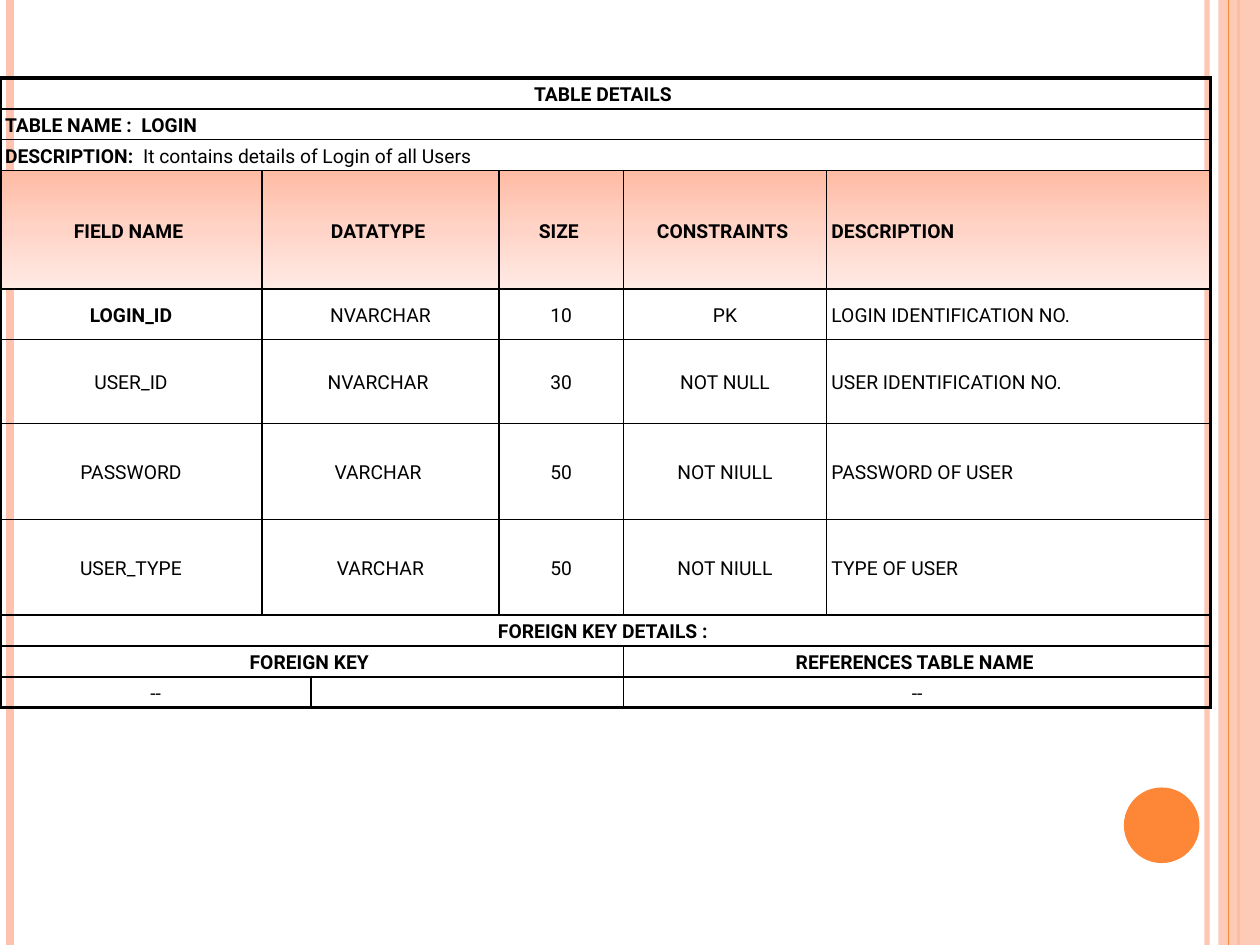
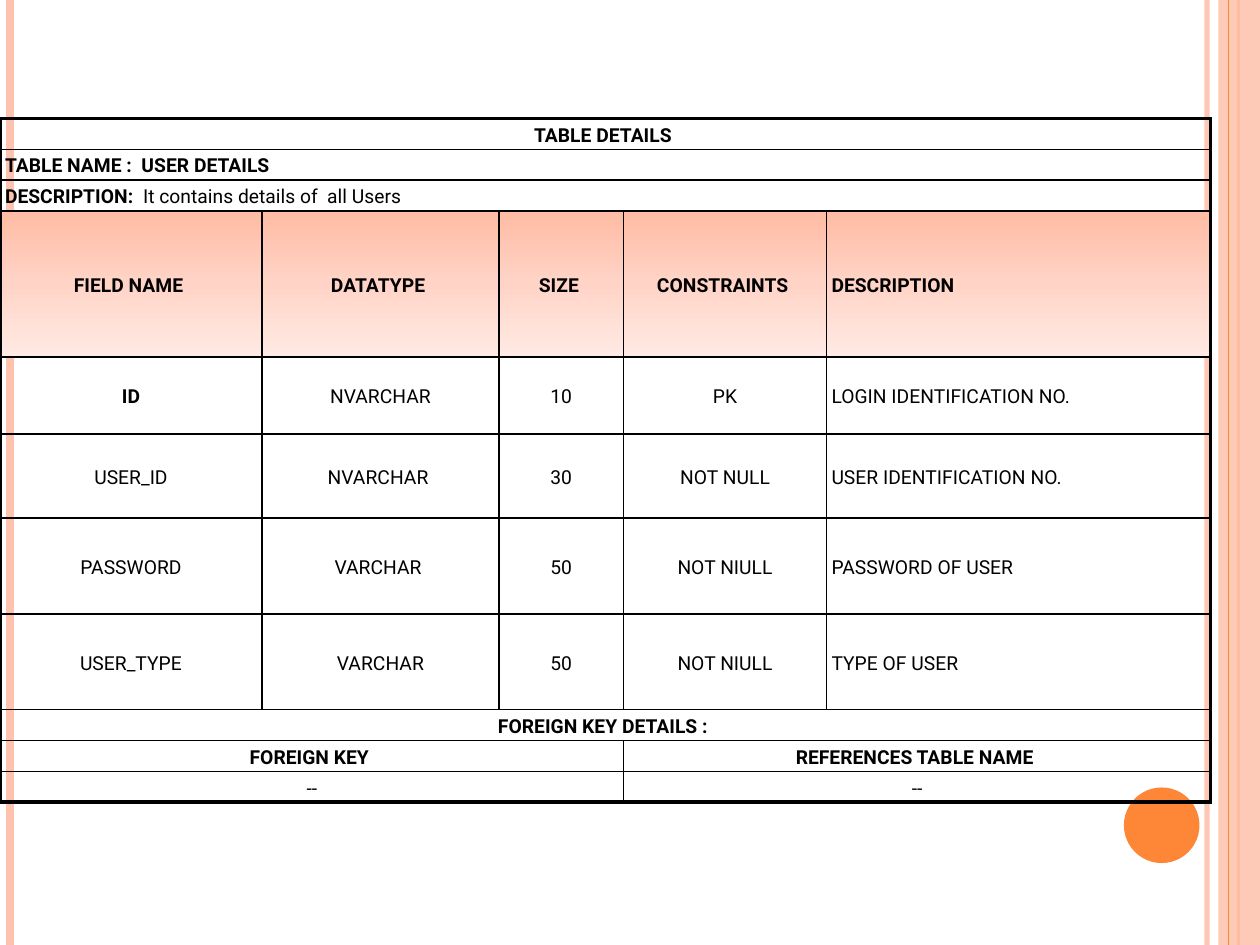
from lxml import etree
from pptx import Presentation
from pptx.dml.color import RGBColor
from pptx.enum.shapes import MSO_CONNECTOR, MSO_SHAPE
from pptx.enum.text import MSO_ANCHOR, PP_ALIGN
from pptx.oxml.ns import qn
from pptx.util import Inches, Pt

LEFT, CENTER = PP_ALIGN.LEFT, PP_ALIGN.CENTER
MIDDLE = MSO_ANCHOR.MIDDLE
STRAIGHT = MSO_CONNECTOR.STRAIGHT
RECT, OVAL = MSO_SHAPE.RECTANGLE, MSO_SHAPE.OVAL

# Content: a cell is (text, columns spanned, bold, alignment)
HEADINGS = ["FIELD NAME ", "DATATYPE ", "SIZE ", "CONSTRAINTS ", "DESCRIPTION"]
COMMON_FIELDS = [
    ["USER_ID", "NVARCHAR ", "30", "NOT NULL", "USER IDENTIFICATION NO."],
    ["PASSWORD", "VARCHAR ", "50", "NOT NIULL", "PASSWORD OF USER"],
    ["USER_TYPE", "VARCHAR", "50", "NOT NIULL", "TYPE OF USER"],
]
TABLES = [
    dict(name="LOGIN", about="It contains details of Login of all Users",
         key="LOGIN_ID", top=0.62, heading_h=0.94, key_h=0.4,
         cols=[2.08, 0.39, 1.49, 0.99, 1.61, 3.05], spans=[1, 2, 1, 1, 1],
         foreign_key=[("--", 2), ("", 2)]),
    dict(name="USER DETAILS", about="It contains details of  all Users",
         key="ID", top=0.94, heading_h=1.16, key_h=0.61,
         cols=[2.08, 1.88, 0.99, 1.61, 3.05], spans=[1, 1, 1, 1, 1],
         foreign_key=[("--", 3)]),
]

# Theme and grid
THEME = dict(font="Roboto", size=11, ink="000000", accent="FE8637", pale="FEC3AE",
             thin=1, thick=2.25, spacing=1.15,
             heading=[(0, "FFBBA3"), (50, "FFD4C7"), (100, "FFEAE4")])
WIDTH, HEIGHT = 10, 7.5
LINE_H = 0.24
FIELD_H = [0.67, 0.76, 0.76]
# x, colour, weight, opacity
RULES = [(9.58, "pale", 3, 93), (0.08, "pale", 4.5, 100), (9.83, "accent", 1.5, 100)]
TOP_RULE = (9.75, "accent", 0.75, 100)


def rgb(value):
    return RGBColor.from_string(value)


def set_opacity(element, percent):
    color = element.find(".//" + qn("a:srgbClr"))
    etree.SubElement(color, qn("a:alpha"), val=str(percent * 1000))


def add_rule(s, x, color, weight, opacity):
    line = s.shapes.add_connector(STRAIGHT, Inches(x), 0, Inches(x), Inches(HEIGHT))
    line.line.color.rgb = rgb(THEME[color])
    line.line.width = Pt(weight)
    props = line._element.spPr
    if opacity < 100:
        set_opacity(props, opacity)
    etree.SubElement(props, qn("a:effectLst"))


def add_block(s, kind, box, color, opacity=100):
    sp = s.shapes.add_shape(kind, *map(Inches, box))
    sp.shadow.inherit = False
    sp.fill.solid()
    sp.fill.fore_color.rgb = rgb(THEME[color])
    sp.line.fill.background()
    if opacity < 100:
        set_opacity(sp._element.spPr, opacity)


def add_frame(s):
    """Side rules, right band and disc shared by every slide."""
    for rule in RULES:
        add_rule(s, *rule)
    add_block(s, RECT, (9.67, 0, 0.33, HEIGHT), "pale", 87)
    add_rule(s, *TOP_RULE)
    add_block(s, OVAL, (8.92, 6.25, 0.6, 0.6), "accent")


def table_rows(spec):
    """Return (height, cells, shaded) for each row."""
    n, spans = len(spec["cols"]), spec["spans"]
    key_span = n - 2

    def field_row(values, bold, key_bold):
        aligns = [CENTER] * 4 + [LEFT]
        bolds = [key_bold] + [bold] * 4
        return list(zip(values, spans, bolds, aligns))

    key_field = [spec["key"], "NVARCHAR", "10", "PK", "LOGIN IDENTIFICATION NO."]
    rows = [
        (LINE_H, [("TABLE DETAILS ", n, True, CENTER)], False),
        (LINE_H, [("TABLE NAME :  " + spec["name"], n, True, LEFT)], False),
        (LINE_H, [(("DESCRIPTION:  ", spec["about"]), n, True, LEFT)], False),
        (spec["heading_h"], field_row(HEADINGS, True, True), True),
        (spec["key_h"], field_row(key_field, False, True), False),
    ]
    rows += [(h, field_row(values, False, False), False)
             for h, values in zip(FIELD_H, COMMON_FIELDS)]
    references = [(text, span, False, CENTER)
                  for text, span in spec["foreign_key"] + [("--", 2)]]
    return rows + [
        (LINE_H, [("FOREIGN KEY DETAILS : ", n, True, CENTER)], False),
        (LINE_H, [("FOREIGN KEY ", key_span, True, CENTER),
                  ("REFERENCES TABLE NAME ", 2, True, CENTER)], False),
        (LINE_H, references, False),
    ]


def write_cell(cell, text, bold, align):
    cell.vertical_anchor = MIDDLE
    cell.margin_left = cell.margin_right = Inches(0.04)
    cell.margin_top = cell.margin_bottom = Inches(0.02)
    p = cell.text_frame.paragraphs[0]
    p.alignment, p.line_spacing = align, THEME["spacing"]
    if not text:
        etree.SubElement(p._p, qn("a:endParaRPr"), sz=str(THEME["size"] * 100))
        return
    # A pair is a bold label followed by plain text
    runs = [(text, bold)] if isinstance(text, str) else zip(text, (True, False))
    for part, part_bold in runs:
        r = p.add_run()
        r.text = part
        r.font.name, r.font.size, r.font.bold = THEME["font"], Pt(THEME["size"]), part_bold
        r.font.color.rgb = rgb(THEME["ink"])


def style_cell(cell, edges, shaded):
    """Draw the edges (side to weight, None for no line), then the fill."""
    props = cell._tc.get_or_add_tcPr()
    for side in "LRTB":
        weight = edges[side]
        ln = etree.SubElement(props, qn("a:ln" + side), w=str(Pt(weight or 0)))
        if weight:
            fill = etree.SubElement(ln, qn("a:solidFill"))
            etree.SubElement(fill, qn("a:srgbClr"), val=THEME["ink"])
        else:
            etree.SubElement(ln, qn("a:noFill"))
    if not shaded:
        cell.fill.background()
        return
    grad = etree.SubElement(props, qn("a:gradFill"), rotWithShape="1")
    stops = etree.SubElement(grad, qn("a:gsLst"))
    for position, color in THEME["heading"]:
        stop = etree.SubElement(stops, qn("a:gs"), pos=str(position * 1000))
        etree.SubElement(stop, qn("a:srgbClr"), val=color)
    etree.SubElement(grad, qn("a:lin"), ang="5400000", scaled="0")


def add_details_table(s, spec):
    rows, cols = table_rows(spec), spec["cols"]
    total_h = sum(row[0] for row in rows)
    table = s.shapes.add_table(len(rows), len(cols), 0, Inches(spec["top"]),
                               Inches(sum(cols)), Inches(total_h)).table
    table.first_row = table.horz_banding = False
    for column, width in zip(table.columns, cols):
        column.width = Inches(width)

    def weight(outer):
        return THEME["thick"] if outer else THEME["thin"]

    for i, (height, cells, shaded) in enumerate(rows):
        table.rows[i].height = Inches(height)
        start = 0
        for text, span, bold, align in cells:
            end = start + span
            first = table.cell(i, start)
            if span > 1:
                first.merge(table.cell(i, end - 1))
            write_cell(first, text, bold, align)
            for c in range(start, end):
                edges = dict(
                    L=weight(c == 0) if c == start else None,
                    R=weight(end == len(cols)) if c in (start, end - 1) else None,
                    T=weight(i == 0), B=weight(i == len(rows) - 1))
                style_cell(table.cell(i, c), edges, shaded)
            start = end


def main():
    prs = Presentation()
    prs.slide_width, prs.slide_height = Inches(WIDTH), Inches(HEIGHT)
    blank = prs.slide_layouts[6]
    for spec in TABLES:
        s = prs.slides.add_slide(blank)
        add_frame(s)
        add_details_table(s, spec)
    prs.save("out.pptx")


if __name__ == "__main__":
    main()
